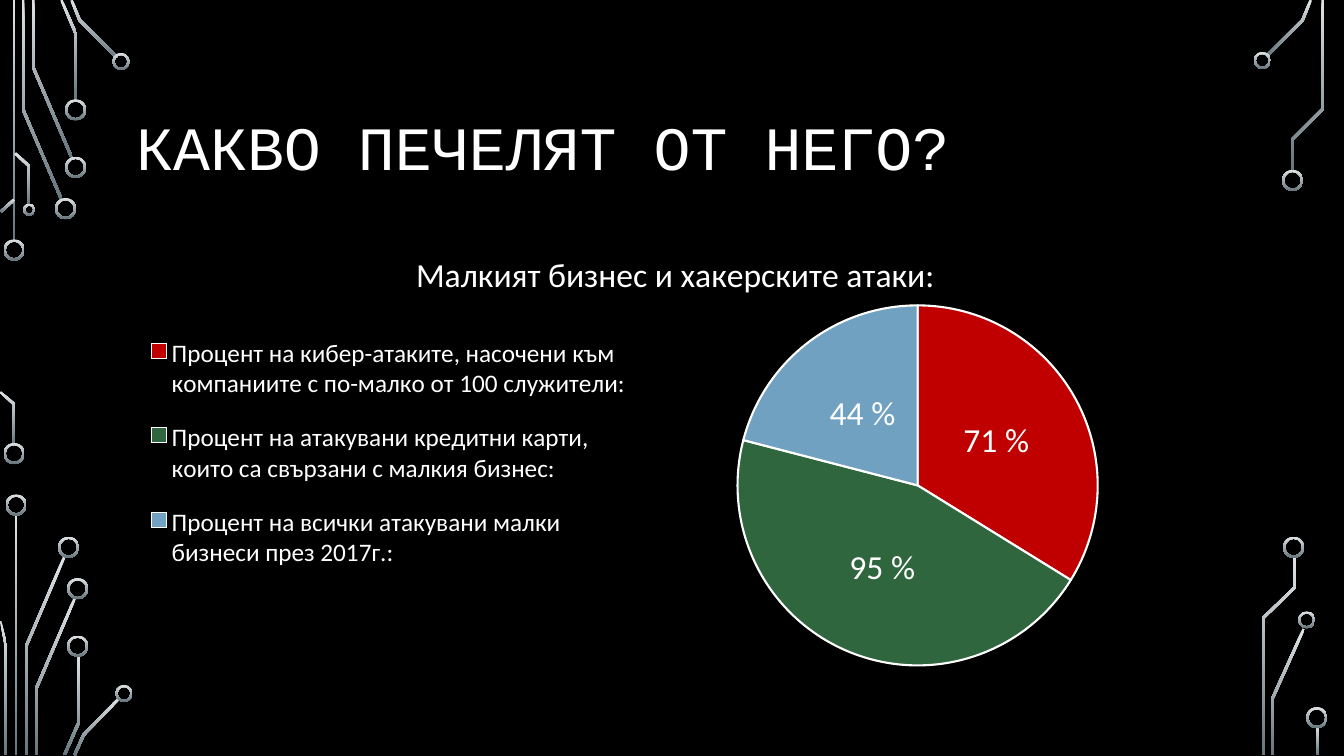
import math
import pptx
import pptx.chart.data
import pptx.dml.color
import pptx.enum.chart
import pptx.enum.shapes
import pptx.enum.text
import pptx.oxml
import pptx.oxml.ns
import pptx.util

Inches = pptx.util.Inches


def rgb(value):
    return pptx.dml.color.RGBColor.from_string(value)


def offset_side(points, distance):
    normals = []
    for (x1, y1), (x2, y2) in zip(points, points[1:]):
        length = math.hypot(x2 - x1, y2 - y1)
        normals.append(((y1 - y2) / length, (x2 - x1) / length))
    side = []
    for (x, y), (ax, ay), (bx, by) in zip(points, normals[:1] + normals, normals + normals[-1:]):
        k = distance / (1 + ax * bx + ay * by)
        side.append((x + k * (ax + bx), y + k * (ay + by)))
    return side


class Deck:
    white = "FFFFFF"
    black = "000000"
    metal = ("DFE3E5", "65757D")
    trace_width = 0.026
    ring_width = 0.021

    def __init__(self, prs):
        self.slide = prs.slides.add_slide(prs.slide_layouts[5])
        fill = self.slide.background.fill
        fill.solid()
        fill.fore_color.rgb = rgb(self.black)

    def font(self, font, size, name="Calibri"):
        values = {"size": pptx.util.Pt(size), "name": name, "bold": False}
        for key, value in values.items():
            setattr(font, key, value)
        font.color.rgb = rgb(self.white)

    def metallic(self, sp):
        sp.shadow.inherit = False
        sp.line.fill.background()
        sp.fill.gradient()
        sp.fill.gradient_angle = 270
        for stop, position, color in zip(sp.fill.gradient_stops, (0, 1), self.metal):
            stop.position = position
            stop.color.rgb = rgb(color)

    def trace(self, points):
        half = self.trace_width / 2
        outline = offset_side(points, half) + offset_side(points, -half)[::-1]
        outline = [(Inches(max(x, 0)), Inches(min(max(y, 0), 7.5))) for x, y in outline]
        builder = self.slide.shapes.build_freeform(*outline[0])
        builder.add_line_segments(outline[1:], close=True)
        self.metallic(builder.convert_to_shape())

    def ring(self, x, y, size):
        sp = self.slide.shapes.add_shape(
            pptx.enum.shapes.MSO_SHAPE.DONUT,
            Inches(x - size / 2), Inches(y - size / 2), Inches(size), Inches(size))
        sp.adjustments[0] = self.ring_width / size
        self.metallic(sp)

    def title(self, text, box):
        sp = self.slide.shapes.title
        for key, value in zip(("left", "top", "width", "height"), box):
            setattr(sp, key, Inches(value))
        tf = sp.text_frame
        values = {"word_wrap": True, "auto_size": pptx.enum.text.MSO_AUTO_SIZE.NONE,
                  "vertical_anchor": pptx.enum.text.MSO_ANCHOR.MIDDLE}
        for key, value in values.items():
            setattr(tf, key, value)
        p = tf.paragraphs[0]
        p.alignment = pptx.enum.text.PP_ALIGN.LEFT
        p.line_spacing = 0.9
        r = p.add_run()
        r.text = text
        self.font(r.font, 44, "Courier New")

    def place(self, element, index, **fractions):
        for old in element.findall(pptx.oxml.ns.qn("c:layout")):
            element.remove(old)
        modes = ['<c:layoutTarget val="inner"/>'] if index == 0 else []
        modes += ['<c:%sMode val="edge"/>' % key for key in "xy"]
        sizes = ['<c:%s val="%s"/>' % item for item in fractions.items()]
        element.insert(index, pptx.oxml.parse_xml(
            "<c:layout %s><c:manualLayout>%s</c:manualLayout></c:layout>"
            % (pptx.oxml.ns.nsdecls("c"), "".join(modes + sizes))))

    def pie(self, heading, slices, box):
        data = pptx.chart.data.CategoryChartData(number_format='0" %"')
        data.categories = [name for name, value, color in slices]
        data.add_series("Series 1", [value for name, value, color in slices])
        chart = self.slide.shapes.add_chart(
            pptx.enum.chart.XL_CHART_TYPE.PIE, *map(Inches, box), data).chart
        self.font(chart.font, 10)

        chart.has_title = True
        p = chart.chart_title.text_frame.paragraphs[0]
        r = p.add_run()
        r.text = heading
        self.font(r.font, 24)

        chart.has_legend = True
        chart.legend.position = pptx.enum.chart.XL_LEGEND_POSITION.LEFT
        chart.legend.include_in_layout = False
        self.font(chart.legend.font, 18)

        plot = chart.plots[0]
        plot.vary_by_categories = True
        plot.has_data_labels = True
        labels = plot.data_labels
        values = {"show_value": True, "show_percentage": False,
                  "number_format": '0" %"', "number_format_is_linked": False,
                  "position": pptx.enum.chart.XL_LABEL_POSITION.CENTER}
        for key, value in values.items():
            setattr(labels, key, value)
        self.font(labels.font, 24)
        for i, (name, value, color) in enumerate(slices):
            fmt = plot.series[0].points[i].format
            fmt.fill.solid()
            fmt.fill.fore_color.rgb = rgb(color)
            fmt.line.color.rgb = rgb(self.white)
            fmt.line.width = pptx.util.Pt(1.5)

        root = chart.element.find(pptx.oxml.ns.qn("c:chart"))
        self.place(root.find(pptx.oxml.ns.qn("c:plotArea")), 0, x=0.56, y=0.19, w=0.33, h=0.78)
        self.place(root.find(pptx.oxml.ns.qn("c:title")), 1, x=0.26, y=0.06)
        self.place(root.find(pptx.oxml.ns.qn("c:legend")), 1, x=0.01, y=0.21, w=0.46, h=0.6)


TRACES = [
    [(0.14, 0), (0.14, 2.39)],
    [(0.23, 0), (0.23, 1.09), (0.61, 1.98)],
    [(0.33, 0), (0.33, 0.67), (0.71, 1.56)],
    [(0.61, 0), (0.75, 0.33), (0.75, 1)],
    [(0.71, 0), (0.79, 0.2), (1.16, 0.57)],
    [(0.01, 2.1), (0.14, 1.98)],
    [(0, 3.89), (0.14, 4.01), (0.14, 4.41)],
    [(0.15, 1.52), (0.29, 1.65), (0.29, 2.03)],
    [(0.16, 5.1), (0.16, 7.49)],
    [(0.64, 5.52), (0.26, 6.41), (0.26, 7.49)],
    [(0, 6.16), (0.06, 6.41), (0.06, 7.49)],
    [(0.74, 5.94), (0.36, 6.83), (0.36, 7.49)],
    [(0.78, 6.5), (0.78, 7.17), (0.64, 7.49)],
    [(1.18, 6.93), (0.83, 7.29), (0.74, 7.49)],
    [(13, 0), (12.92, 0.2), (12.57, 0.55)],
    [(13.12, 0), (13.12, 1.08), (12.82, 1.38), (12.82, 1.69)],
    [(12.93, 6.24), (12.62, 6.93), (12.62, 7.49)],
    [(12.84, 5.52), (12.84, 5.83), (12.53, 6.13), (12.53, 7.49)],
    [(13.07, 7.21), (13.07, 7.49)],
]
RINGS = {
    0.21: [(0.14, 2.48), (0.14, 4.5), (0.65, 2.07), (0.75, 1.66), (0.75, 1.09),
           (0.16, 5.01), (0.68, 5.43), (0.77, 5.84), (0.77, 6.41),
           (12.82, 1.79), (12.83, 5.43), (13.06, 7.12)],
    0.17: [(1.2, 0.61), (1.23, 6.88), (12.52, 0.6), (12.96, 6.15)],
    0.12: [(0.29, 2.08)],
}
SLICES = [
    ("Процент на кибер-атаките, насочени към компаниите с по-малко от 100 служители:", 71, "C00000"),
    ("Процент на атакувани кредитни карти, които са свързани с малкия бизнес:", 95, "2F663E"),
    ("Процент на всички атакувани малки бизнеси през 2017г.:", 44, "70A1C0"),
]

prs = pptx.Presentation()
prs.slide_width = Inches(13.33)
prs.slide_height = Inches(7.5)
deck = Deck(prs)
for points in TRACES:
    deck.trace(points)
for size, centers in RINGS.items():
    for x, y in centers:
        deck.ring(x, y, size)
deck.title("КАКВО ПЕЧЕЛЯТ ОТ НЕГО?", (1.25, 0.68, 10.83, 1.62))
deck.pie("Малкият бизнес и хакерските атаки:", SLICES, (1.25, 2.16, 10.83, 4.58))
prs.save("out.pptx")
